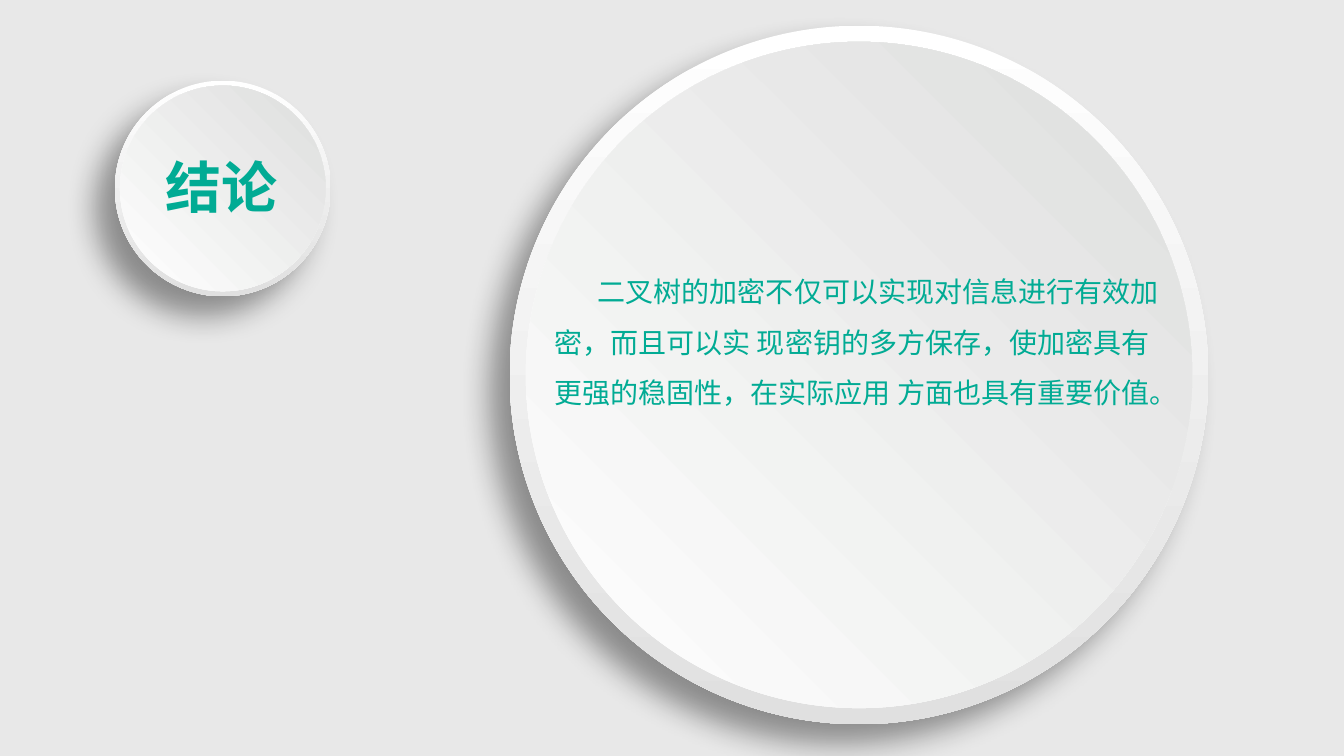
from dataclasses import dataclass

from lxml.etree import SubElement
from pptx import Presentation
from pptx.dml.color import RGBColor
from pptx.enum.shapes import MSO_SHAPE
from pptx.enum.text import MSO_AUTO_SIZE, PP_ALIGN
from pptx.oxml.ns import qn
from pptx.util import Inches, Pt


@dataclass(frozen=True)
class Theme:
    background: RGBColor = RGBColor(0xE8, 0xE8, 0xE8)
    white: RGBColor = RGBColor(0xFF, 0xFF, 0xFF)
    rim_grey: RGBColor = RGBColor(0xE0, 0xE0, 0xE0)
    face_grey: RGBColor = RGBColor(0xDD, 0xDE, 0xDD)
    teal: RGBColor = RGBColor(0x01, 0xAB, 0x94)
    font: str = "Arial"
    title_size: int = 40
    body_size: int = 20


THEME = Theme()
CONCLUSION = (
    "二叉树的加密不仅可以实现对信息进行有效加密，而且可以实 现密钥的多方保存，"
    "使加密具有更强的稳固性，在实际应用 方面也具有重要价值。"
)


def add_shadow(shape):
    """Cast a soft shadow towards the lower left."""
    shape.shadow.inherit = False
    effects = shape._element.spPr.find(qn("a:effectLst"))
    shadow = SubElement(
        effects, qn("a:outerShdw"), blurRad=str(Pt(22)), dist=str(Pt(20)),
        dir=str(135 * 60000), algn="tr", rotWithShape="0",
    )
    color = SubElement(shadow, qn("a:srgbClr"), val="000000")
    SubElement(color, qn("a:alpha"), val="40000")


def add_disc(group, center, diameter, end_color, angle):
    """Add a circle that fades from white; angle runs counter-clockwise."""
    left, top = (Inches(middle - diameter / 2) for middle in center)
    disc = group.shapes.add_shape(
        MSO_SHAPE.OVAL, left, top, Inches(diameter), Inches(diameter)
    )
    disc.shadow.inherit = False
    disc.line.fill.background()
    disc.fill.gradient()
    disc.fill.gradient_angle = angle
    for stop, color in zip(disc.fill.gradient_stops, (THEME.white, end_color)):
        stop.color.rgb = color
    return disc


def add_button(slide, center, rim, face):
    """Group a shadowed rim and the face on it, given their diameters."""
    group = slide.shapes.add_group_shape()
    add_shadow(add_disc(group, center, rim, THEME.rim_grey, 270))
    add_disc(group, center, face, THEME.face_grey, 45)
    return group


def add_text(group, area, text, size, wrap=True, bold=False, **para_format):
    box = group.shapes.add_textbox(*(Inches(length) for length in area))
    frame = box.text_frame
    frame.word_wrap = wrap
    frame.auto_size = MSO_AUTO_SIZE.SHAPE_TO_FIT_TEXT
    para = frame.paragraphs[0]
    for name, value in para_format.items():
        setattr(para, name, value)
    span = para.add_run()
    span.text = text
    for name, value in {"name": THEME.font, "size": Pt(size), "bold": bold}.items():
        setattr(span.font, name, value)
    span.font.color.rgb = THEME.teal
    return para


def main():
    deck = Presentation()
    deck.slide_width, deck.slide_height = Inches(13.33), Inches(7.5)
    slide = deck.slides.add_slide(deck.slide_layouts[6])
    slide.background.fill.solid()
    slide.background.fill.fore_color.rgb = THEME.background

    body = add_button(slide, (8.52, 3.72), 6.93, 6.61)
    para = add_text(body, (5.4, 2.51, 6.24, 2.06), CONCLUSION,
                    THEME.body_size, line_spacing=1.5)
    para._p.get_or_add_pPr().set("indent", str(Inches(0.43)))

    title = add_button(slide, (2.21, 1.87), 2.14, 2.04)
    add_text(title, (1.54, 1.46, 1.32, 0.77), "结论", THEME.title_size,
             wrap=False, bold=True, alignment=PP_ALIGN.CENTER)

    deck.save("out.pptx")


if __name__ == "__main__":
    main()
